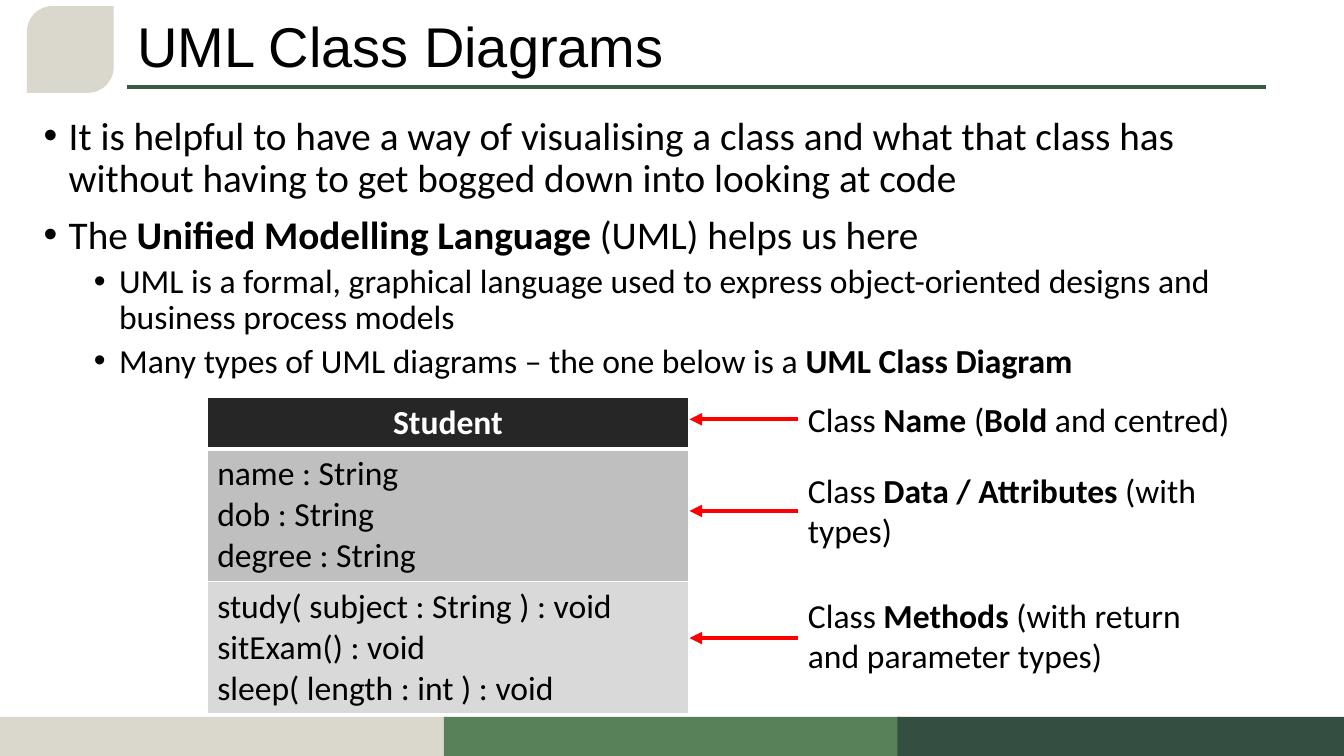
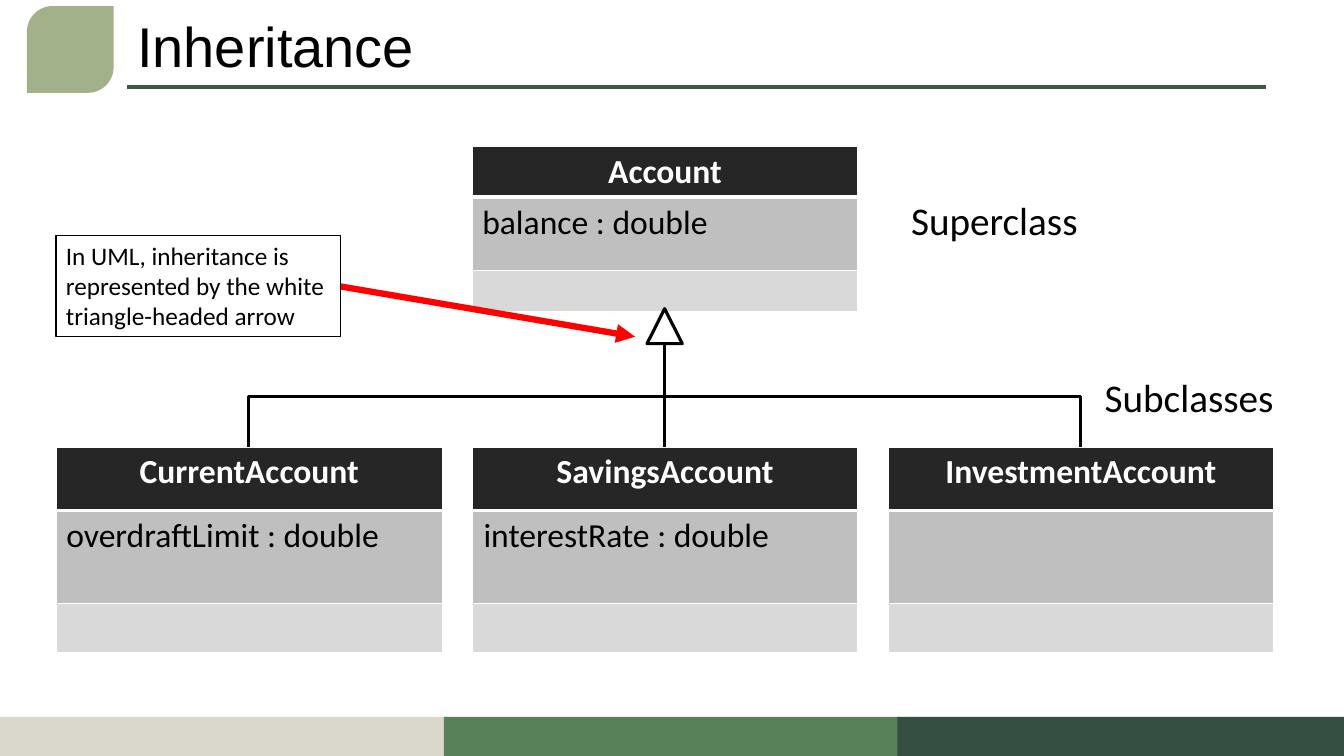
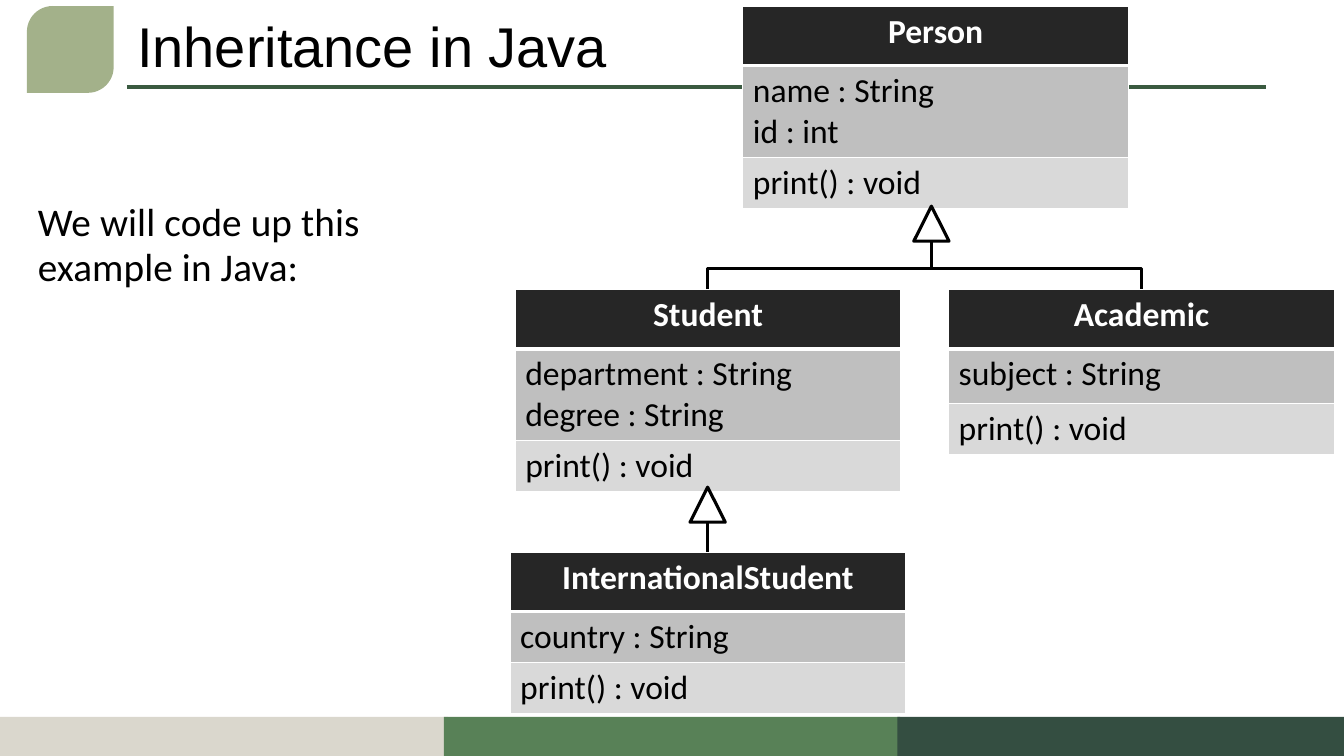
from pptx import Presentation
from pptx.dml.color import RGBColor
from pptx.enum import shapes, text
from pptx.oxml import ns
from pptx.util import Pt
from lxml import etree

# Shared look
BLACK = RGBColor(0x00, 0x00, 0x00)
WHITE = RGBColor(0xFF, 0xFF, 0xFF)
RED = RGBColor(0xFF, 0x00, 0x00)
SAND = RGBColor(0xDA, 0xD7, 0xCD)
SAGE = RGBColor(0xA3, 0xB1, 0x8A)
GREEN = RGBColor(0x58, 0x81, 0x57)
PINE = RGBColor(0x34, 0x4E, 0x41)
RULE = RGBColor(0x3A, 0x5A, 0x40)
ROWS = [RGBColor(0x26, 0x26, 0x26), RGBColor(0xBF, 0xBF, 0xBF),
        RGBColor(0xD9, 0xD9, 0xD9)]
HEAD, BODY = "Arial", "Calibri"
BANDS = [(0, 320, SAND), (317, 326, GREEN), (641, 319, PINE)]
WIDE = 275.5  # usual width of a class box
KIND = shapes.MSO_SHAPE


def box(*dims):
    return [Pt(d) for d in dims]


def child(parent, tag, **attrs):
    return etree.SubElement(parent, ns.qn(tag), **attrs)


def write(para, parts, size, color=BLACK, font=BODY):
    """Add runs; every second part is bold."""
    for i, part in enumerate(parts):
        if part:
            run = para.add_run()
            run.text = part
            run.font.name, run.font.size = font, Pt(size)
            run.font.bold = i % 2 == 1
            run.font.color.rgb = color


def shape(slide, kind, dims, fill, line=None, width=1):
    item = slide.shapes.add_shape(kind, *box(*dims))
    item.shadow.inherit = False
    item.fill.solid()
    item.fill.fore_color.rgb = fill
    if line is None:
        item.line.fill.background()
    else:
        item.line.color.rgb = line
        item.line.width = Pt(width)
    return item


def line(slide, start, end, color, width, arrow=False):
    item = slide.shapes.add_connector(
        shapes.MSO_CONNECTOR.STRAIGHT, *box(*start, *end))
    item.line.color.rgb = color
    item.line.width = Pt(width)
    if arrow:
        child(item.line._get_or_add_ln(), "a:tailEnd", type="triangle")
    child(item._element.spPr, "a:effectLst")


def label(slide, dims, parts, size):
    frame = slide.shapes.add_textbox(*box(*dims)).text_frame
    frame.word_wrap = True
    write(frame.paragraphs[0], parts, size)
    return frame


def bullets(slide, dims, items):
    frame = slide.shapes.add_textbox(*box(*dims)).text_frame
    frame.word_wrap = True
    for i, (level, parts) in enumerate(items):
        para = frame.add_paragraph() if i else frame.paragraphs[0]
        para.level = level
        para.line_spacing = 0.9
        para.space_before = Pt(5 if level else 10)
        props = para._p.get_or_add_pPr()
        props.set("marL", str(Pt(54 if level else 18)))
        props.set("indent", str(Pt(-18)))
        child(props, "a:buFont", typeface=HEAD)
        child(props, "a:buChar", char="•")
        write(para, parts, 24 if level else 28)


def border(cell, head):
    """White lines on all sides, thicker below the class name."""
    props = cell._tc.get_or_add_tcPr()
    for i, side in enumerate("LRTB"):
        width = 3 if head and side == "B" else 1
        edge = etree.Element(ns.qn("a:ln" + side), w=str(Pt(width)))
        child(child(edge, "a:solidFill"), "a:srgbClr", val=str(WHITE))
        props.insert(i, edge)


def uml(slide, left, top, name, data, calls, highs, width=WIDE):
    """A class box: name, attributes and methods."""
    table = slide.shapes.add_table(
        3, 1, *box(left, top, width, sum(highs))).table
    table.horz_banding = False
    for i, lines in enumerate([[name], data, calls]):
        table.rows[i].height = Pt(highs[i])
        cell = table.cell(i, 0)
        cell.fill.solid()
        cell.fill.fore_color.rgb = ROWS[i]
        border(cell, i == 0)
        for j, entry in enumerate(lines):
            frame = cell.text_frame
            para = frame.add_paragraph() if j else frame.paragraphs[0]
            if i == 0:
                para.alignment = text.PP_ALIGN.CENTER
                write(para, ["", entry], 24, WHITE)
            else:
                write(para, [entry], 24)


def parent(slide, mid, top, foot):
    """White-headed inheritance arrow with its stem."""
    line(slide, (mid, foot), (mid, top + 25), BLACK, 2.25)
    shape(slide, KIND.ISOSCELES_TRIANGLE, (mid - 12.6, top, 25.2, 25),
          WHITE, BLACK, 2.25)


def fork(slide, left, right, top, foot):
    """Bracket that joins the outer subclasses."""
    path = slide.shapes.build_freeform(Pt(left), Pt(foot))
    path.add_line_segments([box(left, top), box(right, top),
                            box(right, foot)], close=False)
    item = path.convert_to_shape()
    item.shadow.inherit = False
    item.fill.background()
    item.line.color.rgb = BLACK
    item.line.width = Pt(2.25)


def start(deck, name, leaf):
    """New slide with title, rule, leaf and colour bands."""
    slide = deck.slides.add_slide(deck.slide_layouts[5])
    title = slide.shapes.title
    title.left, title.top, title.width, title.height = box(
        90.8, 9.4, 869, 51.8)
    frame = title.text_frame
    frame.auto_size = text.MSO_AUTO_SIZE.NONE
    frame.vertical_anchor = text.MSO_ANCHOR.MIDDLE
    para = frame.paragraphs[0]
    para.alignment = text.PP_ALIGN.LEFT
    para.line_spacing = 0.9
    write(para, [name], 40, font=HEAD)
    line(slide, (90.7, 62), (904.3, 62), RULE, 3)
    item = shape(slide, KIND.ROUND_2_DIAG_RECTANGLE,
                 (19.2, 4.3, 62, 62), leaf)
    item.adjustments[0] = 0.297
    for left, width, color in BANDS:
        shape(slide, KIND.RECTANGLE, (left, 512, width, 28), color)
    return slide


def diagrams(deck):
    slide = start(deck, "UML Class Diagrams", SAND)
    bullets(slide, (24, 79.8, 912, 200), [
        (0, ["It is helpful to have a way of visualising a class and what "
             "that class has without having to get bogged down into "
             "looking at code"]),
        (0, ["The ", "Unified Modelling Language ", "(UML) helps us here"]),
        (1, ["UML is a formal, graphical language used to express "
             "object-oriented designs and business process models"]),
        (1, ["Many types of UML diagrams – the one below is a ",
             "UML Class Diagram"])])
    uml(slide, 148, 284, "Student",
        ["name : String", "dob : String", "degree : String"],
        ["study( subject : String ) : void", "sitExam() : void",
         "sleep( length : int ) : void"], [36.6, 94.6, 94.6], 344)
    # Callouts
    for top, width, mid, parts in [
            (281.5, 344, 299.5,
             ["Class ", "Name ", "(", "Bold", " and centred)"]),
            (332, 293, 365, ["Class ", "Data / Attributes",
                             " (with types)"]),
            (421.2, 320, 455.8, ["Class ", "Methods",
                                 " (with return and parameter types)"])]:
        line(slide, (570, mid), (492.5, mid), RED, 3, True)
        label(slide, (570, top, width, 36), parts, 24)


def accounts(deck):
    slide = start(deck, "Inheritance", SAGE)
    # Class boxes
    left, pitch, top = 40.3, 297, 319.3
    for i, name in enumerate(
            ["CurrentAccount", "SavingsAccount", "InvestmentAccount"]):
        uml(slide, left + i * pitch, top, name, [], [], [45.4, 66.2, 35.3])
    uml(slide, left + pitch, 104.4, "Account", ["balance : double"], [],
        [36, 52.4, 28])
    # Inheritance arrow
    first = left + WIDE / 2 - 0.3
    fork(slide, first, first + 2 * pitch, 283, top)
    parent(slide, first + pitch, 220.5, top)
    # Attributes of the subclasses
    for spot, entry in [(40.3, "overdraftLimit : double"),
                        (338.3, "interestRate : double")]:
        label(slide, (spot, 363.6, 274.3, 36), [entry], 24)
    # Notes
    line(slide, (242.6, 204.5), (453.6, 240.5), RED, 4.5, True)
    label(slide, (782, 263.2, 150, 41), ["Subclasses"], 28)
    label(slide, (643.7, 136.8, 150, 41), ["Superclass"], 28)
    note = shape(slide, KIND.RECTANGLE, (40, 168, 203, 72.7),
                 WHITE, BLACK, 0.75).text_frame
    note.word_wrap = True
    note.vertical_anchor = text.MSO_ANCHOR.TOP
    note.paragraphs[0].alignment = text.PP_ALIGN.LEFT
    write(note.paragraphs[0], ["In UML, inheritance is represented by the "
                               "white triangle-headed arrow"], 18)


def people(deck):
    slide = start(deck, "Inheritance in Java", SAGE)
    show = ["print() : void"]
    # Class boxes
    uml(slide, 530.6, 4.5, "Person", ["name : String", "id : int"], show,
        [42.3, 65, 36])
    uml(slide, 368, 206.6, "Student",
        ["department : String", "degree : String"], show, [42.5, 65.6, 36])
    uml(slide, 677.6, 206.6, "Academic", ["subject : String"], show,
        [42.5, 39, 36])
    # Inheritance arrows
    fork(slide, 505.5, 815.5, 192, 206.6)
    parent(slide, 665.3, 147.3, 192)
    parent(slide, 505.5, 348, 394.6)
    uml(slide, 364.4, 394.5, "InternationalStudent", ["country : String"],
        show, [42.3, 36, 36], 282.6)
    frame = label(slide, (20, 139.7, 285, 137),
                  ["We will code up this example in Java:"], 28)
    para = frame.paragraphs[0]
    para.line_spacing = 0.95
    para.space_before, para.space_after = Pt(14), Pt(2)
    para.runs[0]._r.get_or_add_rPr().set("spc", "10")


def main():
    deck = Presentation()
    deck.slide_width, deck.slide_height = box(960, 540)
    diagrams(deck)
    accounts(deck)
    people(deck)
    deck.save("out.pptx")


if __name__ == "__main__":
    main()
